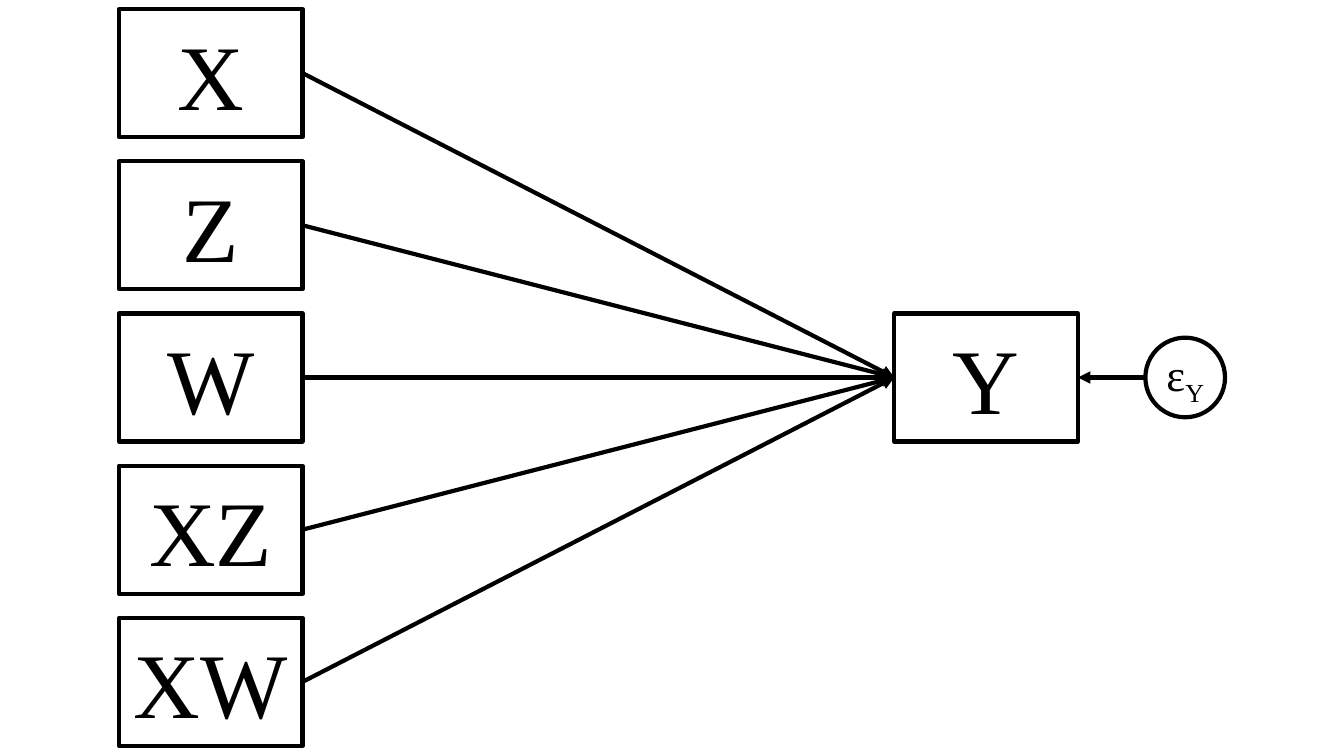
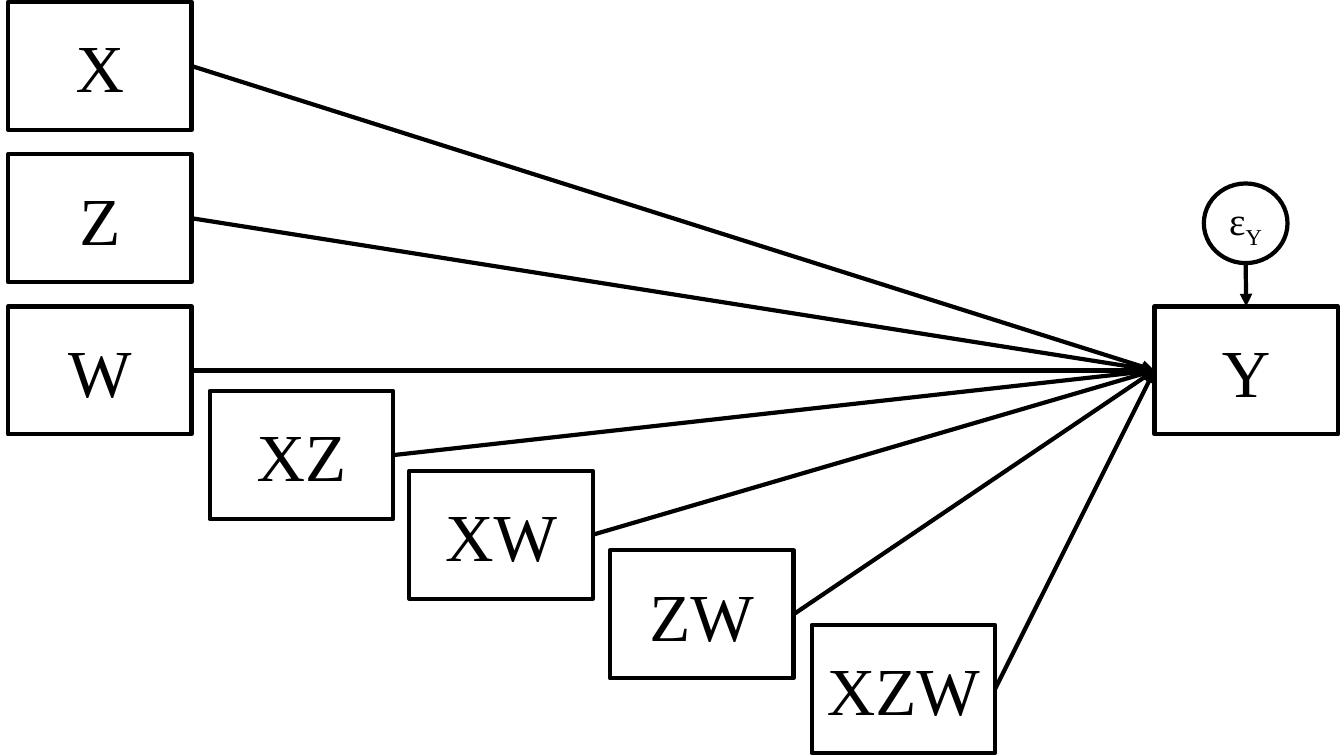
from lxml.etree import SubElement
from pptx import Presentation
from pptx.dml.color import RGBColor
from pptx.enum.shapes import MSO_CONNECTOR, MSO_SHAPE
from pptx.enum.text import MSO_ANCHOR, PP_ALIGN
from pptx.oxml.ns import qn
from pptx.util import Inches, Pt

INK = "000000"
PAPER = "FFFFFF"
FONT = "Times New Roman"
LINE_WIDTH = 3
BOX_WIDTH, BOX_HEIGHT = 1.82, 1.27
ROW_STEP = 1.51
CIRCLE_HEIGHT = 0.79
TOP, LEFT, BOTTOM, RIGHT = range(4)


def color(value):
    """Turn a hex string into a colour."""
    return RGBColor.from_string(value)


def set_line(line):
    """Give an outline or connector the shared stroke."""
    line.color.rgb = color(INK)
    line.width = Pt(LINE_WIDTH)


def add_span(para, text, size):
    """Add a run of text in the shared font."""
    span = para.add_run()
    span.text = text
    for name, value in {"name": FONT, "size": Pt(size)}.items():
        setattr(span.font, name, value)
    span.font.color.rgb = color(INK)
    return span


def add_node(page, kind, left, top, width, height):
    """Add an outlined shape and return it with its centred paragraph."""
    node = page.shapes.add_shape(
        kind, Inches(left), Inches(top), Inches(width), Inches(height))
    node.shadow.inherit = False
    node.fill.solid()
    node.fill.fore_color.rgb = color(PAPER)
    set_line(node.line)
    frame = node.text_frame
    frame.word_wrap = True
    frame.vertical_anchor = MSO_ANCHOR.MIDDLE
    para = frame.paragraphs[0]
    para.alignment = PP_ALIGN.CENTER
    return node, para


def add_variable(page, label, left, top, size):
    """Add the rectangle of an observed variable."""
    box, para = add_node(
        page, MSO_SHAPE.RECTANGLE, left, top, BOX_WIDTH, BOX_HEIGHT)
    add_span(para, label, size)
    return box


def add_error(page, left, top, width, size):
    """Add the circle of the error term of Y."""
    circle, para = add_node(
        page, MSO_SHAPE.OVAL, left, top, width, CIRCLE_HEIGHT)
    circle.text_frame.margin_left = circle.text_frame.margin_right = 0
    add_span(para, "ε", size)
    subscript = add_span(para, "Y", size)
    subscript.font._element.set("baseline", "-25000")
    return circle


def add_arrow(page, start, target, site):
    """Draw an arrow from a point to a side of the target box."""
    arrow = page.shapes.add_connector(MSO_CONNECTOR.STRAIGHT, *start, *start)
    arrow.end_connect(target, site)
    set_line(arrow.line)
    SubElement(arrow.line._get_or_add_ln(), qn("a:tailEnd"), type="triangle")
    SubElement(arrow._element.spPr, qn("a:effectLst"))
    return arrow


def add_model(page, predictors, outcome_place, size):
    """Add predictor boxes with arrows into the outcome box."""
    outcome = add_variable(page, "Y", *outcome_place, size)
    for label, left, top in predictors:
        box = add_variable(page, label, left, top, size)
        start = box.left + box.width, box.top + box.height // 2
        arrow = add_arrow(page, start, outcome, LEFT)
        arrow.begin_connect(box, RIGHT)
    return outcome


def column(labels, left, top):
    """Place labels in an evenly spaced column."""
    return [(label, left, top + row * ROW_STEP)
            for row, label in enumerate(labels)]


def build_two_interactions(page):
    """Build the model with two two-way interactions."""
    predictors = column(["X", "Z", "W", "XZ", "XW"], 1.18, 0.09)
    outcome = add_model(page, predictors, (8.87, 3.11), 66)
    error = add_error(page, 11.36, 3.35, CIRCLE_HEIGHT, 32)
    start = error.left, error.top + error.height // 2
    add_arrow(page, start, outcome, RIGHT)


def build_three_way(page):
    """Build the model with all interactions up to three-way."""
    cascade = [("XZ", 2.08, 3.88), ("XW", 4.06, 4.67),
               ("ZW", 6.05, 5.46), ("XZW", 8.05, 6.2)]
    predictors = column(["X", "Z", "W"], 0.08, 0.02) + cascade
    outcome = add_model(page, predictors, (11.45, 3.04), 48)
    error = add_error(page, 11.94, 1.82, 0.83, 28)
    start = error.left + error.width // 2, error.top + error.height
    add_arrow(page, start, outcome, TOP)


def main():
    """Build and save the deck."""
    deck = Presentation()
    deck.slide_width, deck.slide_height = Inches(13.33), Inches(7.5)
    for build in (build_two_interactions, build_three_way):
        build(deck.slides.add_slide(deck.slide_layouts[6]))
    deck.save("out.pptx")


if __name__ == "__main__":
    main()
